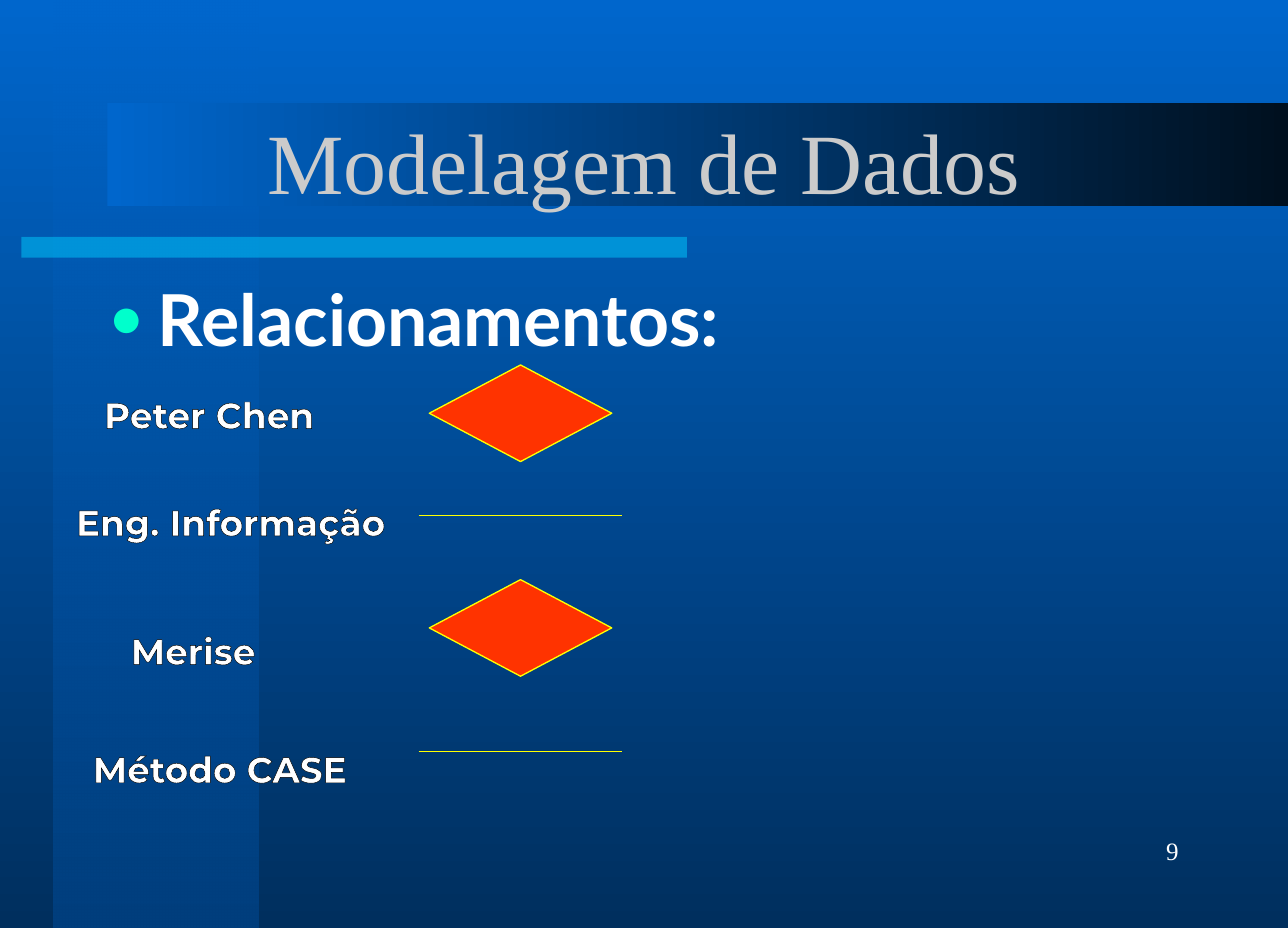
from dataclasses import dataclass
from typing import NamedTuple

from lxml import etree
from pptx import Presentation, util as u
from pptx.dml.color import RGBColor
from pptx.enum import shapes, text
from pptx.oxml import ns

PX = 3175
WIDTH, HEIGHT = 2880, 2075


class Box(NamedTuple):
    x: int
    y: int
    w: int
    h: int

    def emu(self):
        return [v * PX for v in self]


class Method(NamedTuple):
    name: str
    label: Box
    symbol: str
    y: int


@dataclass(frozen=True)
class Theme:
    sky: str = "0066CC"
    deep: str = "002F5E"
    side: str = "003F7E"
    night: str = "00101F"
    accent: str = "00CCFF"
    title: str = "CBCBCB"
    body: str = "FFFFFF"
    bullet: str = "00FFCC"
    diamond: str = "FF3300"
    line: str = "FFFF00"
    outline: str = "000000"
    serif: str = "Times New Roman"
    heading: str = "Lato"
    label: str = "Montserrat"
    title_size: int = 48
    heading_size: int = 40
    label_size: int = 20
    number_size: int = 14
    line_width: float = 0.75


T = Theme()

METHODS = [
    Method("Peter Chen", Box(264, 864, 408, 96), "diamond", 816),
    Method("Eng. Informação", Box(264, 1104, 504, 144), "line", 1152),
    Method("Merise", Box(264, 1392, 336, 72), "diamond", 1296),
    Method("Método CASE", Box(264, 1656, 456, 96), "line", 1680),
]


def rgb(color: str) -> RGBColor:
    return RGBColor.from_string(color)


def add_child(parent, tag: str, **attrs):
    return etree.SubElement(parent, ns.qn(tag), attrs)


def gradient(fill, start: str, end: str, angle: int) -> None:
    fill.gradient()
    fill.gradient_angle = angle
    for stop, color in zip(fill.gradient_stops, (start, end)):
        stop.color.rgb = rgb(color)


def half_transparent(sp) -> None:
    first = next(sp._element.spPr.iter(ns.qn("a:srgbClr")))
    add_child(first, "a:alpha", val="50000")


def add_preset(s, kind, box: Box):
    sp = s.shapes.add_shape(kind, *box.emu())
    sp.shadow.inherit = False
    sp.line.fill.background()
    return sp


def add_diamond(s, y: int) -> None:
    sp = add_preset(s, shapes.MSO_SHAPE.DIAMOND, Box(960, y, 408, 216))
    sp.fill.solid()
    sp.fill.fore_color.rgb = rgb(T.diamond)
    sp.line.color.rgb = rgb(T.line)
    sp.line.width = u.Pt(T.line_width)


def add_line(s, y: int) -> None:
    cn = s.shapes.add_connector(
        shapes.MSO_CONNECTOR.STRAIGHT, 936 * PX, y * PX, 1392 * PX, y * PX)
    cn.line.color.rgb = rgb(T.line)
    cn.line.width = u.Pt(T.line_width)
    add_child(cn._element.spPr, "a:effectLst")


def write(sp, content: str, *, size: int, font: str, color: str = T.body,
          bold: bool = False, align=text.PP_ALIGN.LEFT,
          anchor=text.MSO_ANCHOR.TOP, wrap: bool = True,
          bullet: bool = False, outline: bool = False) -> None:
    tf = sp.text_frame
    tf.word_wrap = wrap
    tf.auto_size = text.MSO_AUTO_SIZE.NONE
    tf.vertical_anchor = anchor
    p = tf.paragraphs[0]
    p.alignment = align
    p.space_before = u.Pt(0)
    if bullet:
        pPr = p._p.get_or_add_pPr()
        pPr.set("marL", str(108 * PX))
        pPr.set("indent", str(-108 * PX))
        add_child(add_child(pPr, "a:buClr"), "a:srgbClr", val=T.bullet)
        add_child(pPr, "a:buSzPct", val="80000")
        add_child(pPr, "a:buFont", typeface=T.serif)
        add_child(pPr, "a:buChar", char="●")
    r = p.add_run()
    r.text = content
    r.font.size = u.Pt(size)
    r.font.name = font
    r.font.bold = bold
    r.font.color.rgb = rgb(color)
    if outline:
        ln = etree.Element(ns.qn("a:ln"), w=str(u.Pt(T.line_width)))
        add_child(add_child(ln, "a:solidFill"), "a:srgbClr", val=T.outline)
        r._r.get_or_add_rPr().insert(0, ln)


def place(sp, box: Box) -> None:
    sp.left, sp.top, sp.width, sp.height = box.emu()


def add_backdrop(s) -> None:
    gradient(s.background.fill, T.sky, T.deep, 270)
    rect = shapes.MSO_SHAPE.RECTANGLE
    side = add_preset(s, rect, Box(119, 0, 458, HEIGHT))
    gradient(side.fill, T.sky, T.side, 270)
    half_transparent(side)
    rule = add_preset(s, rect, Box(48, 530, 1488, 46))
    rule.fill.solid()
    rule.fill.fore_color.rgb = rgb(T.accent)
    half_transparent(rule)
    banner = add_preset(s, rect, Box(240, 230, 2640, 230))
    gradient(banner.fill, T.sky, T.night, 0)
    for sp in (banner, rule, side):
        s.shapes._spTree.insert(2, sp._element)


def main() -> None:
    prs = Presentation()
    prs.slide_width, prs.slide_height = WIDTH * PX, HEIGHT * PX
    s = prs.slides.add_slide(prs.slide_layouts[1])
    add_backdrop(s)

    number = s.shapes.add_textbox(*Box(2064, 1798, 600, 207).emu())
    write(number, "9", size=T.number_size, font=T.serif, wrap=False,
          align=text.PP_ALIGN.RIGHT, anchor=text.MSO_ANCHOR.MIDDLE)

    title, body = s.shapes.title, s.placeholders[1]
    place(title, Box(216, 185, 2448, 346))
    write(title, "Modelagem de Dados", size=T.title_size, font=T.serif,
          color=T.title, align=text.PP_ALIGN.CENTER,
          anchor=text.MSO_ANCHOR.MIDDLE)
    place(body, Box(216, 600, 2448, 242))
    write(body, "Relacionamentos:", size=T.heading_size, font=T.heading,
          bold=True, bullet=True)

    draw = {"diamond": add_diamond, "line": add_line}
    for method in METHODS:
        label = s.shapes.add_textbox(*method.label.emu())
        write(label, method.name, size=T.label_size, font=T.label, bold=True,
              align=text.PP_ALIGN.CENTER, wrap=False, outline=True)
        draw[method.symbol](s, method.y)

    prs.save("out.pptx")


if __name__ == "__main__":
    main()
